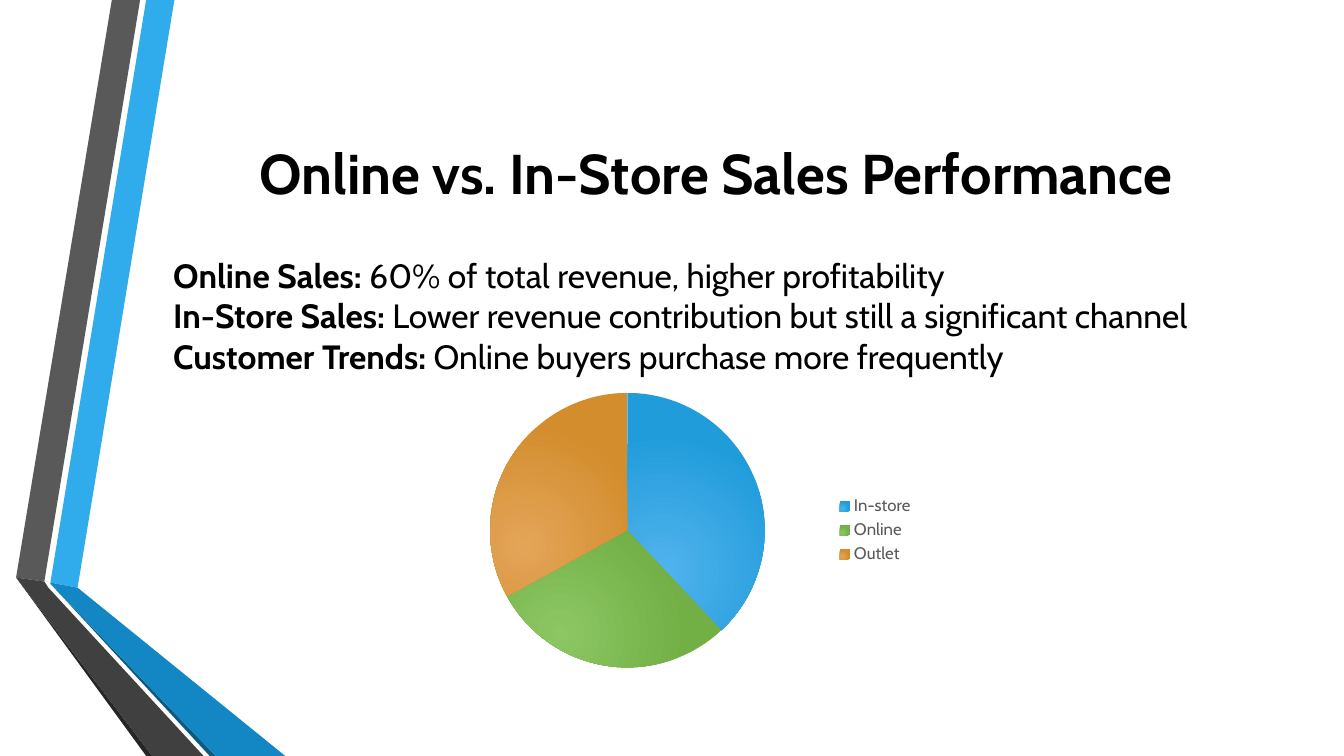
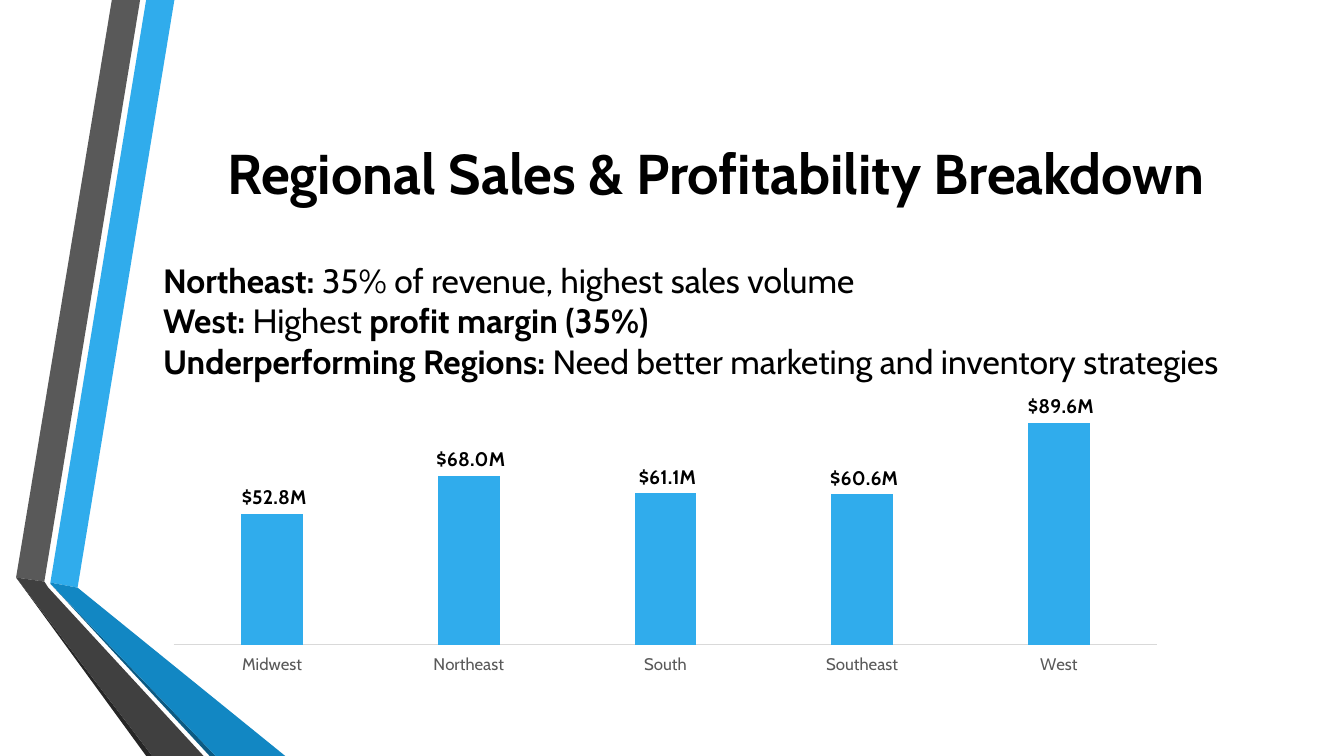
from lxml import etree
from pptx import Presentation
from pptx.chart.data import CategoryChartData
from pptx.dml.color import RGBColor
from pptx.enum.chart import XL_CHART_TYPE as ChartType
from pptx.enum.chart import XL_LABEL_POSITION as LabelPosition
from pptx.enum.chart import XL_LEGEND_POSITION as LegendPosition
from pptx.enum.chart import XL_TICK_LABEL_POSITION as TickLabels
from pptx.enum.chart import XL_TICK_MARK as TickMark
from pptx.enum.text import MSO_ANCHOR as Anchor
from pptx.enum.text import PP_ALIGN as Align
from pptx.oxml.ns import qn
from pptx.util import Inches, Pt

BLACK, GREY, BLUE = "000000", "595959", "30ACEC"
TITLE = {"name": "Cabin", "size": Pt(40), "bold": True}
BODY = {"name": "Cabin", "size": Pt(24)}
CHART_TEXT = {"name": "Cabin", "size": Pt(12), "bold": False}
VALUE_LABEL = {"name": "Cabin", "size": Pt(14), "bold": True}
MILLIONS = r'[>=1000000]\ "$"#,##0.0,,"M";[>0]"$"#,##'

# Ribbon faces: colour and corner points in inches
RIBBONS = [
    (BLUE, [(0.5, 5.78), (0.77, 5.83), (1.73, 0), (1.45, 0)]),
    (GREY, [(1.39, 0), (1.11, 0), (0.16, 5.73), (0.44, 5.77)]),
    ("262626", [(0.16, 5.73), (1.45, 7.5), (1.51, 7.5)]),
    ("0C5A82", [(0.5, 5.79), (2.08, 7.5), (2.14, 7.5)]),
    ("1287C3", [(0.5, 5.79), (2.14, 7.5), (2.83, 7.5), (0.77, 5.83), (0.5, 5.78)]),
    ("404040", [(2.02, 7.5), (0.48, 5.83), (0.44, 5.77), (0.16, 5.73), (1.51, 7.5)]),
]

# Each slide: title, left and top of the body, body lines as (text, bold) runs
SLIDES = [
    ("Online vs. In-Store Sales Performance", 1.62, 2.43, [
        [("Online Sales:", True), (" 60% of total revenue, higher profitability", False)],
        [("In-Store Sales:", True),
         (" Lower revenue contribution but still a significant channel", False)],
        [("Customer Trends:", True), (" Online buyers purchase more frequently", False)],
    ]),
    ("Regional Sales & Profitability Breakdown", 1.52, 2.48, [
        [("Northeast:", True), (" 35% of revenue, highest sales volume", False)],
        [("West:", True), (" Highest ", False), ("profit margin (35%)", True)],
        [("Underperforming Regions:", True),
         (" Need better marketing and inventory strategies", False)],
    ]),
]


def set_font(font, values, colour):
    for name, value in values.items():
        setattr(font, name, value)
    font.color.rgb = RGBColor.from_string(colour)


def add_text(slide, left, top, height, lines, values, align):
    """Add a middle-anchored text box with one paragraph per line of runs."""
    frame = slide.shapes.add_textbox(
        Inches(left), Inches(top), Inches(10.96), Inches(height)).text_frame
    frame.word_wrap = True
    frame.vertical_anchor = Anchor.MIDDLE
    for index, line in enumerate(lines):
        paragraph = frame.add_paragraph() if index else frame.paragraphs[0]
        paragraph.alignment = align
        for text, bold in line:
            run = paragraph.add_run()
            run.text = text
            set_font(run.font, {**values, "bold": bold}, BLACK)


deck = Presentation()
deck.slide_width, deck.slide_height = Inches(13.33), Inches(7.5)

for title, body_left, body_top, lines in SLIDES:
    slide = deck.slides.add_slide(deck.slide_layouts[6])
    for colour, corners in RIBBONS:
        points = [(Inches(x), Inches(y)) for x, y in corners]
        outline = slide.shapes.build_freeform(*points[0])
        outline.add_line_segments(points[1:], close=True)
        ribbon = outline.convert_to_shape()
        ribbon.shadow.inherit = False
        ribbon.fill.solid()
        ribbon.fill.fore_color.rgb = RGBColor.from_string(colour)
        ribbon.line.fill.background()
    add_text(slide, 1.62, 0.75, 1.92, [[(title, True)]], TITLE, Align.CENTER)
    add_text(slide, body_left, body_top, 1.4, lines, BODY, Align.LEFT)

channel_slide, region_slide = deck.slides

# Sales by channel
channel_data = CategoryChartData()
channel_data.categories = ["In-store", "Online", "Outlet"]
channel_data.add_series("Series 1", [38, 29, 33])
channels = channel_slide.shapes.add_chart(
    ChartType.PIE, Inches(4.17), Inches(3.76), Inches(5), Inches(3), channel_data).chart
channels.has_title = False
channels.has_legend = True
channels.legend.position = LegendPosition.RIGHT
channels.legend.include_in_layout = False
set_font(channels.font, CHART_TEXT, GREY)
set_font(channels.legend.font, CHART_TEXT, GREY)
channels.plots[0].vary_by_categories = True

GRADIENTS = [("51B3ED", "219CDB"), ("8CC764", "72AF45"), ("E4A559", "D38D2D")]
for index, colours in enumerate(GRADIENTS):
    slice_format = channels.plots[0].series[0].points[index].format
    slice_format.line.fill.background()
    slice_format.fill.gradient()
    for stop, colour in zip(slice_format.fill.gradient_stops, colours):
        stop.color.rgb = RGBColor.from_string(colour)
# Turn the linear gradients into radial ones
for linear in list(channels.element.iter(qn("a:lin"))):
    radial = etree.Element(qn("a:path"), {"path": "circle"})
    etree.SubElement(radial, qn("a:fillToRect"),
                     {"l": "50000", "t": "100000", "r": "100000", "b": "50000"})
    linear.getparent().replace(linear, radial)

# Sales by region
region_data = CategoryChartData()
region_data.categories = ["Midwest", "Northeast", "South", "Southeast", "West"]
region_data.add_series("Series 1", [52800000, 68000000, 61100000, 60600000, 89600000])
regions = region_slide.shapes.add_chart(
    ChartType.COLUMN_CLUSTERED, Inches(1.52), Inches(3.88), Inches(10.16), Inches(2.87),
    region_data).chart
regions.has_title = False
regions.has_legend = False
set_font(regions.font, CHART_TEXT, GREY)

sales_axis = regions.value_axis
sales_axis.minimum_scale, sales_axis.maximum_scale = 0, 100000000
sales_axis.has_major_gridlines = False
sales_axis.visible = False

region_axis = regions.category_axis
region_axis.major_tick_mark = TickMark.NONE
region_axis.tick_label_position = TickLabels.LOW
region_axis.format.line.color.rgb = RGBColor.from_string("D9D9D9")
region_axis.format.line.width = Pt(0.75)
set_font(region_axis.tick_labels.font, CHART_TEXT, GREY)

columns = regions.plots[0]
columns.vary_by_categories = False
columns.gap_width, columns.overlap = 219, -27
sales = columns.series[0]
sales.format.fill.solid()
sales.format.fill.fore_color.rgb = RGBColor.from_string(BLUE)
labels = sales.data_labels
labels.show_value = True
labels.position = LabelPosition.OUTSIDE_END
labels.number_format = MILLIONS
labels.number_format_is_linked = False
set_font(labels.font, VALUE_LABEL, BLACK)

deck.save("out.pptx")
